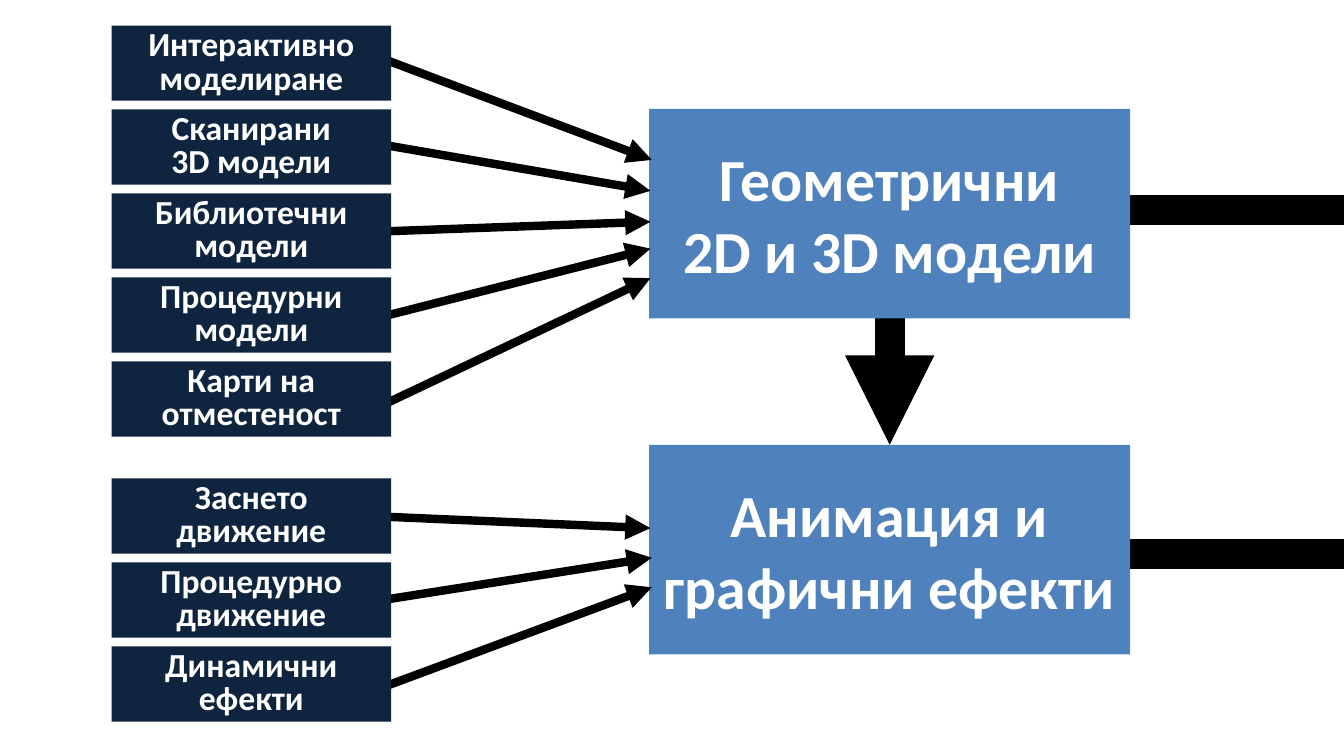
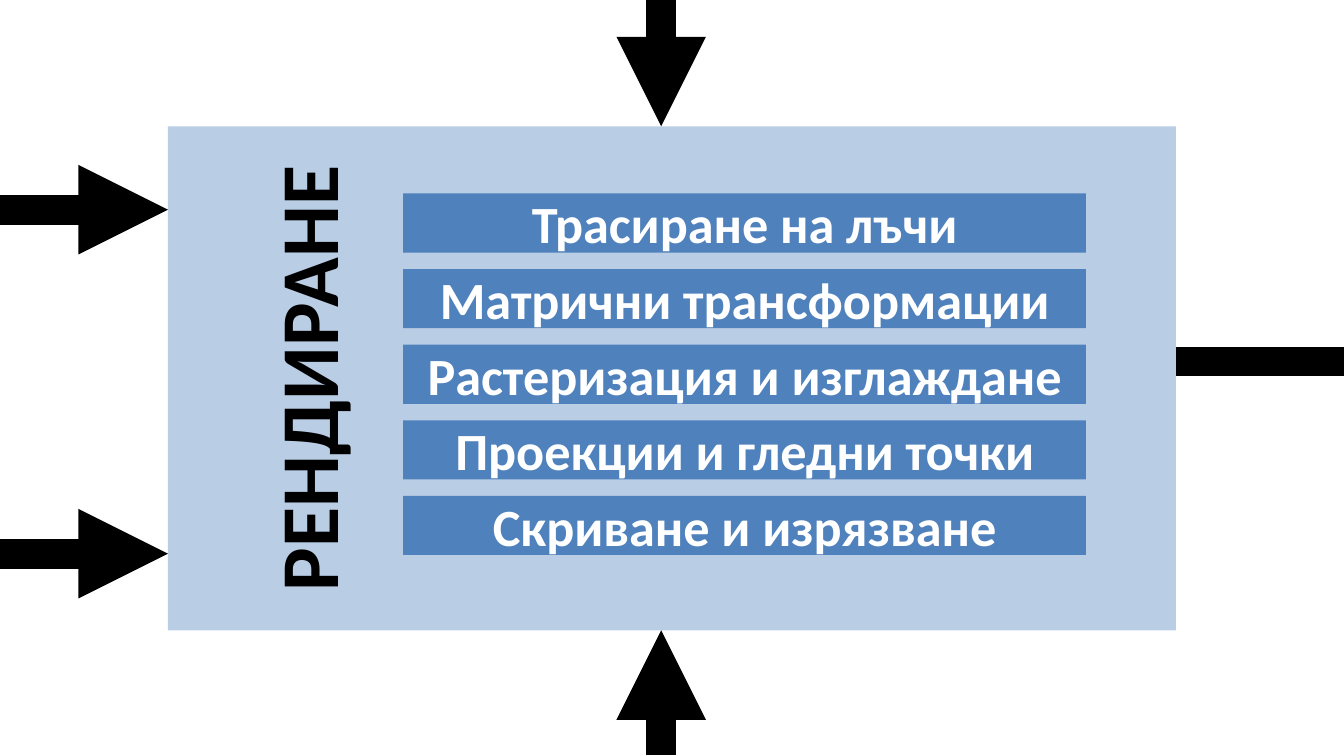
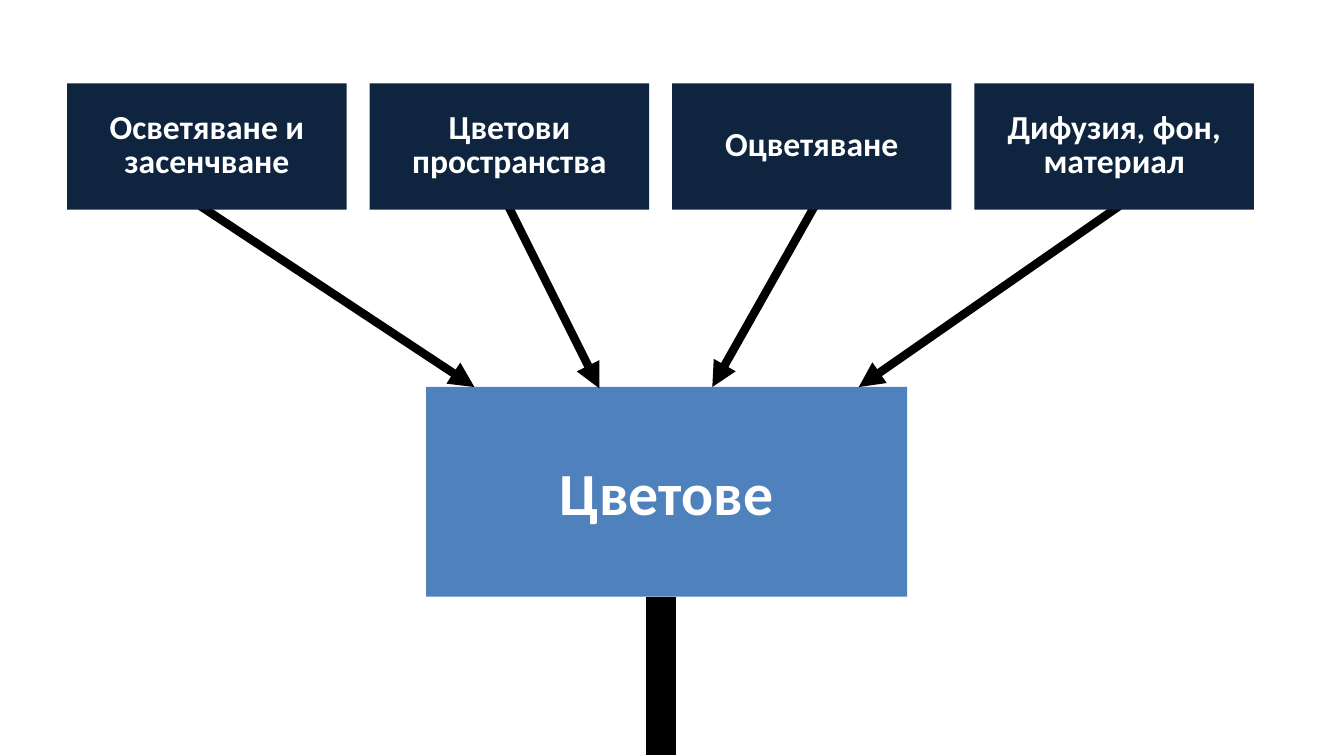
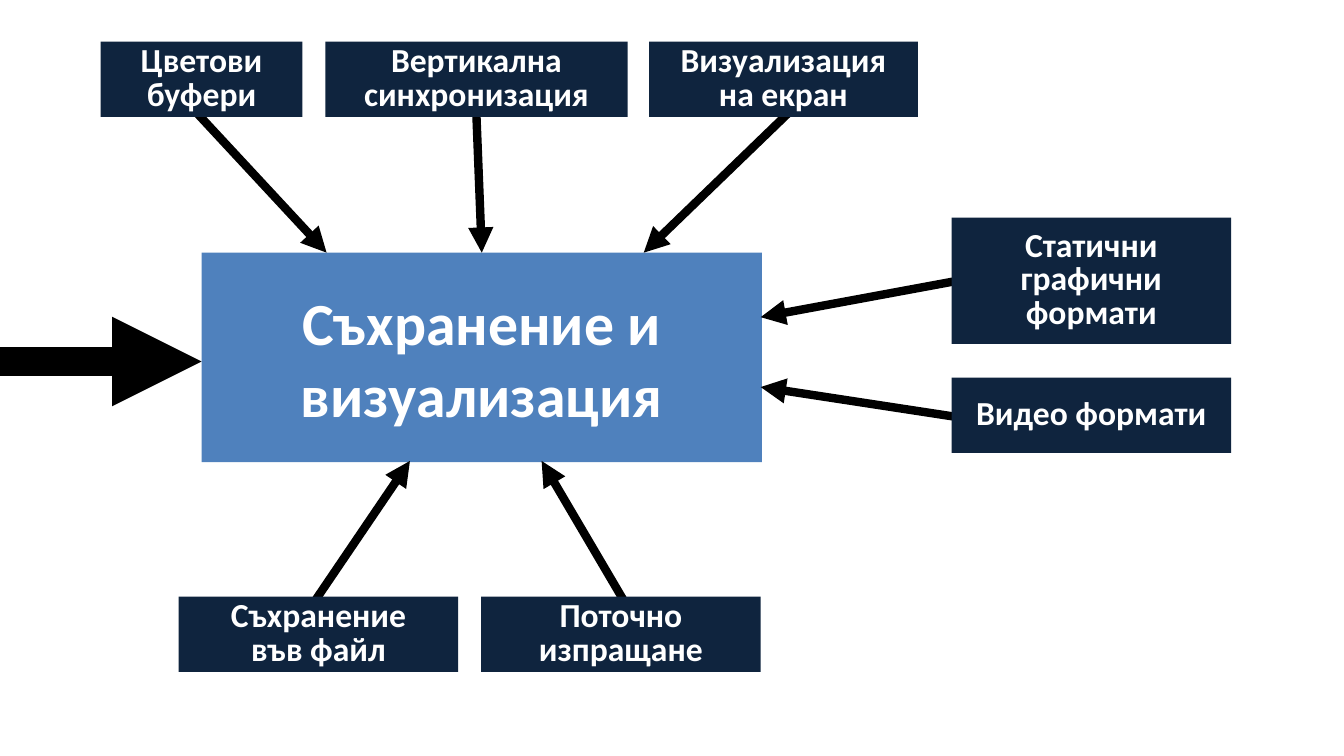
from dataclasses import dataclass
from math import hypot

from lxml import etree
from pptx import Presentation
from pptx.dml.color import RGBColor
from pptx.enum.shapes import MSO_CONNECTOR, MSO_SHAPE
from pptx.enum.text import MSO_ANCHOR, PP_ALIGN
from pptx.oxml.ns import qn
from pptx.util import Inches, Pt

RECTANGLE = MSO_SHAPE.RECTANGLE
STRAIGHT = MSO_CONNECTOR.STRAIGHT
MIDDLE = MSO_ANCHOR.MIDDLE
CENTER = PP_ALIGN.CENTER

COLORS = {
    "stage": "4F81BD",
    "source": "0F243E",
    "panel": "B9CDE5",
    "light": "FFFFFF",
    "dark": "000000",
}
FONT = "Calibri"

# Shared measures
SLIDE_WIDTH, SLIDE_HEIGHT = 10, 5.62
SOURCE_WIDTH, SOURCE_HEIGHT = 2.08, 0.56
TALL_HEIGHT = 0.94
STAGE_WIDTH, STAGE_HEIGHT = 3.58, 1.56
SOURCE_PITCH = 5 / 8
STEP_PITCH = 9 / 16
COLUMN_PITCH = 2.25
FLOW, THIN = 16, 4.5
MODELS_FLOW_Y, ANIMATION_FLOW_Y, OUTPUT_FLOW_Y = 1.56, 4.12, 2.69
COLORS_FLOW_X = 4.92
JOIN_TOLERANCE = 0.02


@dataclass(frozen=True)
class BoxStyle:
    fill: str | None
    size: float
    color: str = "light"
    line_spacing: float | None = None


STAGE = BoxStyle("stage", 32)
STEP = BoxStyle("stage", 28)
SOURCE = BoxStyle("source", 18, line_spacing=18)
PANEL = BoxStyle("panel", 44, "dark")
PANEL_TITLE = BoxStyle(None, 44, "dark")


@dataclass(frozen=True)
class Box:
    text: str
    left: float
    top: float
    width: float = SOURCE_WIDTH
    height: float = SOURCE_HEIGHT
    style: BoxStyle = SOURCE
    vertical: bool = False

    def side_middles(self) -> list[tuple[float, float]]:
        """Top, left, bottom, right: the order of connection sites."""
        center_x = self.left + self.width / 2
        center_y = self.top + self.height / 2
        return [(center_x, self.top), (self.left, center_y),
                (center_x, self.top + self.height),
                (self.left + self.width, center_y)]


@dataclass(frozen=True)
class Arrow:
    start: tuple[float, float]
    end: tuple[float, float]
    width: float = THIN
    head: bool = True


def rgb(name: str) -> RGBColor:
    return RGBColor.from_string(COLORS[name])


def draw_box(slide, box: Box):
    shape = slide.shapes.add_shape(
        RECTANGLE, Inches(box.left), Inches(box.top),
        Inches(box.width), Inches(box.height))
    shape.shadow.inherit = False
    shape.line.fill.background()
    if box.style.fill:
        shape.fill.solid()
        shape.fill.fore_color.rgb = rgb(box.style.fill)
    else:
        shape.fill.background()

    frame = shape.text_frame
    frame.word_wrap = True
    frame.vertical_anchor = MIDDLE
    if box.vertical:
        frame.margin_left = frame.margin_right = 0
        frame.margin_top = frame.margin_bottom = 0
        frame._txBody.bodyPr.set("vert", "vert270")
    if not box.text:
        return shape
    frame.text = box.text
    font_values = {"name": FONT, "size": Pt(box.style.size), "bold": True}
    for paragraph in frame.paragraphs:
        paragraph.alignment = CENTER
        if box.style.line_spacing:
            paragraph.line_spacing = Pt(box.style.line_spacing)
        for run in paragraph.runs:
            for attribute, value in font_values.items():
                setattr(run.font, attribute, value)
            run.font.color.rgb = rgb(box.style.color)
    return shape


def draw_arrow(slide, arrow: Arrow):
    connector = slide.shapes.add_connector(
        STRAIGHT, *(Inches(value) for value in arrow.start + arrow.end))
    connector.line.color.rgb = rgb("dark")
    connector.line.width = Pt(arrow.width)
    properties = connector.element.spPr
    if arrow.head:
        line = properties.find(qn("a:ln"))
        etree.SubElement(line, qn("a:tailEnd"), type="triangle")
    etree.SubElement(properties, qn("a:effectLst"))
    return connector


def join(connector, arrow: Arrow, shape, box: Box) -> None:
    """Connect the ends that lie at the middle of a side of the box."""
    for site, (x, y) in enumerate(box.side_middles()):
        if hypot(arrow.start[0] - x, arrow.start[1] - y) < JOIN_TOLERANCE:
            connector.begin_connect(shape, site)
        if hypot(arrow.end[0] - x, arrow.end[1] - y) < JOIN_TOLERANCE:
            connector.end_connect(shape, site)


def draw_diagram(presentation, flows: list[Arrow], stages: list[Box],
                 arrows: list[Arrow], sources: list[Box]) -> None:
    """Draw the layers from back to front, then join the connectors."""
    slide = presentation.slides.add_slide(presentation.slide_layouts[6])
    connectors = [(draw_arrow(slide, flow), flow) for flow in flows]
    shapes = [(draw_box(slide, box), box) for box in stages]
    connectors += [(draw_arrow(slide, arrow), arrow) for arrow in arrows]
    shapes += [(draw_box(slide, box), box) for box in sources]
    for connector, arrow in connectors:
        for shape, box in shapes:
            join(connector, arrow, shape, box)


def source_column(texts: list[str], top: float) -> list[Box]:
    return [Box(text, 0.83, top + index * SOURCE_PITCH)
            for index, text in enumerate(texts)]


def stage_box(text: str, left: float, top: float,
              width: float = STAGE_WIDTH) -> Box:
    return Box(text, left, top, width, STAGE_HEIGHT, STAGE)


def build_models(presentation) -> None:
    flows = [
        Arrow((8.33, y), (SLIDE_WIDTH, y), FLOW, False)
        for y in (MODELS_FLOW_Y, ANIMATION_FLOW_Y)
    ] + [Arrow((6.62, 2.38), (6.62, 3.31), FLOW)]
    stages = [
        stage_box("Геометрични\n2D и 3D модели", 4.83, 0.81),
        stage_box("Анимация и графични ефекти", 4.83, 3.31),
    ]
    arrows = [
        Arrow((2.75, 0.4), (4.85, 1.19)),
        Arrow((2.75, 1.06), (4.84, 1.42)),
        Arrow((2.92, 1.72), (4.84, 1.65)),
        Arrow((2.75, 2.38), (4.84, 1.85)),
        Arrow((2.75, 3.06), (4.84, 2.07)),
        Arrow((2.75, 3.84), (4.84, 3.93)),
        Arrow((2.75, 4.48), (4.85, 4.15)),
        Arrow((2.75, 5.15), (4.85, 4.37)),
    ]
    sources = source_column([
        "Интерактивно моделиране", "Сканирани\n3D модели",
        "Библиотечни модели", "Процедурни модели", "Карти на отместеност",
    ], 0.19) + source_column([
        "Заснето движение", "Процедурно движение", "Динамични\nефекти",
    ], 3.56)
    draw_diagram(presentation, flows, stages, arrows, sources)


def build_rendering(presentation) -> None:
    output = Arrow((SLIDE_WIDTH, OUTPUT_FLOW_Y), (8.42, OUTPUT_FLOW_Y),
                   FLOW, False)
    panel = Box("", 1.25, 0.94, 7.5, 3.75, PANEL)
    title = Box("РЕНДИРАНЕ", 1.9, 0.94, 0.75, 3.75, PANEL_TITLE, True)
    inputs = [
        Arrow((COLORS_FLOW_X, SLIDE_HEIGHT), (COLORS_FLOW_X, 4.69), FLOW),
        Arrow((COLORS_FLOW_X, 0), (COLORS_FLOW_X, 0.94), FLOW),
    ] + [Arrow((0, y), (1.25, y), FLOW)
         for y in (MODELS_FLOW_Y, ANIMATION_FLOW_Y)]
    step_texts = [
        "Трасиране на лъчи", "Матрични трансформации",
        "Растеризация и изглаждане", "Проекции и гледни точки",
        "Скриване и изрязване",
    ]
    steps = [Box(text, 3, 1.44 + index * STEP_PITCH, 5.08, 0.44, STEP)
             for index, text in enumerate(step_texts)]
    draw_diagram(presentation, [output], [panel, title], inputs, steps)


def build_colors(presentation) -> None:
    flow = Arrow((COLORS_FLOW_X, 4.44), (COLORS_FLOW_X, SLIDE_HEIGHT),
                 FLOW, False)
    stage = stage_box("Цветове", 3.17, 2.88)
    arrows = [
        Arrow((1.38, 1.46), (3.53, 2.88)),
        Arrow((3.7, 1.37), (4.46, 2.89)),
        Arrow((6.12, 1.43), (5.3, 2.88)),
        Arrow((8.39, 1.49), (6.39, 2.88)),
    ]
    source_texts = ["Осветяване и засенчване", "Цветови пространства",
                    "Оцветяване", "Дифузия, фон, материал"]
    sources = [Box(text, 0.5 + index * COLUMN_PITCH, 0.62,
                   height=TALL_HEIGHT)
               for index, text in enumerate(source_texts)]
    draw_diagram(presentation, [flow], [stage], arrows, sources)


def build_output(presentation) -> None:
    flow = Arrow((0, OUTPUT_FLOW_Y), (1.5, OUTPUT_FLOW_Y), FLOW)
    stage = stage_box("Съхранение и визуализация", 1.5, 1.88, 4.17)
    arrows = [
        Arrow((1.39, 0.76), (2.43, 1.88)),
        Arrow((3.54, 0.73), (3.57, 1.88)),
        Arrow((5.96, 0.75), (4.79, 1.88)),
        Arrow((7.23, 2.07), (5.66, 2.36)),
        Arrow((7.23, 3.12), (5.66, 2.88)),
        Arrow((2.29, 4.55), (3.05, 3.43)),
        Arrow((4.73, 4.62), (4.03, 3.43)),
    ]
    sources = [
        Box("Цветови буфери", 0.75, 0.31, 1.5),
        Box("Вертикална синхронизация", 2.42, 0.31, 2.25),
        Box("Визуализация\nна екран", 4.83, 0.31, 2),
        Box("Статични графични формати", 7.08, 1.62, height=TALL_HEIGHT),
        Box("Видео формати", 7.08, 2.81),
        Box("Съхранение\vвъв файл", 1.33, 4.44),
        Box("Поточно изпращане", 1.33 + COLUMN_PITCH, 4.44),
    ]
    draw_diagram(presentation, [flow], [stage], arrows, sources)


def main() -> None:
    presentation = Presentation()
    presentation.slide_width = Inches(SLIDE_WIDTH)
    presentation.slide_height = Inches(SLIDE_WIDTH * 9 / 16)
    build_models(presentation)
    build_rendering(presentation)
    build_colors(presentation)
    build_output(presentation)
    presentation.save("out.pptx")


if __name__ == "__main__":
    main()
